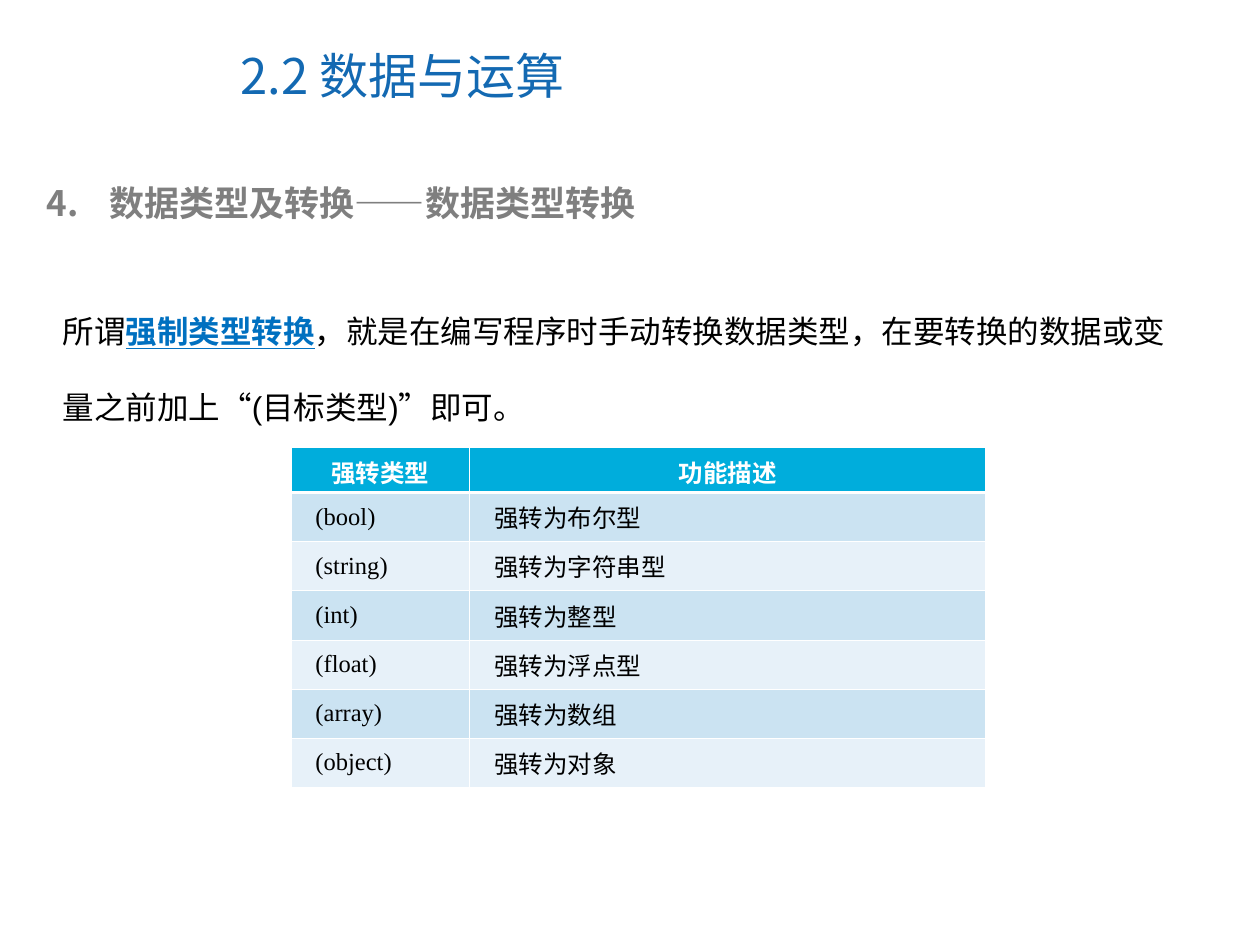
from lxml import etree
from pptx import Presentation
from pptx import util as u
from pptx.dml.color import RGBColor
from pptx.enum import text
from pptx.oxml import ns

BLUE = RGBColor(0x13, 0x69, 0xB2)
LINK_BLUE = RGBColor(0x00, 0x70, 0xC0)
GREY = RGBColor(0x7F, 0x7F, 0x7F)
BLACK = RGBColor(0, 0, 0)
WHITE = RGBColor(0xFF, 0xFF, 0xFF)
HEADER = RGBColor(0x00, 0xAD, 0xDC)
BANDS = [RGBColor(0xCB, 0xE3, 0xF2), RGBColor(0xE7, 0xF1, 0xF9)]
CJK = "Noto Sans CJK SC"
TYPES = [
    ("强转类型", "功能描述"),
    ("(bool)", "强转为布尔型"),
    ("(string)", "强转为字符串型"),
    ("(int)", "强转为整型"),
    ("(float)", "强转为浮点型"),
    ("(array)", "强转为数组"),
    ("(object)", "强转为对象"),
]


def sub(parent, tag, **attrs):
    return etree.SubElement(parent, ns.qn(tag), attrs)


def add_text(p, words, font=CJK, size=18, color=BLACK, bold=False, underline=False):
    r = p.add_run()
    r.text = words
    f = r.font
    f.name, f.size, f.bold, f.underline = font, u.Pt(size), bold, underline
    f.color.rgb = color
    east_asian = etree.Element(ns.qn("a:ea"), typeface=CJK)
    r._r.get_or_add_rPr().find(ns.qn("a:latin")).addnext(east_asian)


class SlideBuilder:
    def __init__(self, prs):
        self.s = prs.slides.add_slide(prs.slide_layouts[5])

    def title(self, words, left, top, width, height):
        sp = self.s.shapes.title
        sp.left, sp.top, sp.width, sp.height = map(u.Cm, (left, top, width, height))
        tf = sp.text_frame
        tf.auto_size = text.MSO_AUTO_SIZE.NONE
        tf.vertical_anchor = text.MSO_ANCHOR.MIDDLE
        p = tf.paragraphs[0]
        p.alignment = text.PP_ALIGN.LEFT
        add_text(p, words, size=28, color=BLUE)

    def textbox(self, left, top, width, height):
        """Add a wrapping text box and return its first paragraph."""
        sp = self.s.shapes.add_textbox(*map(u.Cm, (left, top, width, height)))
        tf = sp.text_frame
        tf.word_wrap = True
        tf.auto_size = text.MSO_AUTO_SIZE.SHAPE_TO_FIT_TEXT
        return tf.paragraphs[0]

    def numbered_heading(self, words, number, *box):
        p = self.textbox(*box)
        pPr = p._p.get_or_add_pPr()
        indent = u.Cm(1.27)
        pPr.set("marL", str(indent))
        pPr.set("indent", str(-indent))
        sub(sub(pPr, "a:buClr"), "a:srgbClr", val=str(GREY))
        sub(pPr, "a:buFont", typeface=CJK)
        sub(pPr, "a:buAutoNum", type="arabicPeriod", startAt=str(number))
        add_text(p, words, size=20, color=GREY, bold=True)

    def body(self, runs, *box):
        p = self.textbox(*box)
        p.line_spacing = 2.0
        for words, style in runs:
            add_text(p, words, font="Arial", **style)

    def table(self, rows, left, top, widths, header_height, row_height):
        heights = [header_height] + [row_height] * (len(rows) - 1)
        frame = self.s.shapes.add_table(
            len(rows), len(widths), u.Cm(left), u.Cm(top),
            u.Cm(sum(widths)), u.Cm(sum(heights)))
        table = frame.table
        table.first_row = table.horz_banding = False
        for column, width in zip(table.columns, widths):
            column.width = u.Cm(width)
        for i, (row, height) in enumerate(zip(rows, heights)):
            table.rows[i].height = u.Cm(height)
            for j, words in enumerate(row):
                self.cell(table.cell(i, j), words, i)

    def cell(self, cell, words, row):
        header = row == 0
        cell.margin_left = cell.margin_right = u.Cm(0.19)
        cell.vertical_anchor = text.MSO_ANCHOR.MIDDLE
        thick = {0: "a:lnB", 1: "a:lnT"}.get(row)
        for side in ("a:lnL", "a:lnR", "a:lnT", "a:lnB"):
            width = u.Pt(1.5 if side == thick else 0.5)
            line = sub(cell._tc.get_or_add_tcPr(), side, w=str(width))
            sub(sub(line, "a:solidFill"), "a:srgbClr", val=str(WHITE))
        cell.fill.solid()
        cell.fill.fore_color.rgb = HEADER if header else BANDS[(row - 1) % 2]
        p = cell.text_frame.paragraphs[0]
        if header:
            p.alignment = text.PP_ALIGN.CENTER
            add_text(p, words, font="Arial", size=14, color=WHITE, bold=True)
        else:
            p.alignment = text.PP_ALIGN.JUSTIFY
            p._p.get_or_add_pPr().set("marL", str(u.Cm(0.3)))
            add_text(p, words, font="Times New Roman", size=14)


def main():
    prs = Presentation()
    prs.slide_width, prs.slide_height = u.Cm(25.4), u.Cm(19.05)
    slide = SlideBuilder(prs)
    slide.title("2.2 数据与运算", 4.6, 0.43, 13.1, 2.16)
    slide.numbered_heading("数据类型及转换——数据类型转换", 4, 0.69, 3.53, 23.42, 1.12)
    slide.body([
        ("所谓", {}),
        ("强制类型转换", dict(color=LINK_BLUE, bold=True, underline=True)),
        ("，就是在编写程序时手动转换数据类型，在要转换的数据或变量之前加上“(目标类型)”即可。", {}),
    ], 1.02, 5.41, 23.34, 3.3)
    slide.table(TYPES, 5.87, 9.02, [3.6, 10.4], 0.91, 0.99)
    prs.save("out.pptx")


if __name__ == "__main__":
    main()
